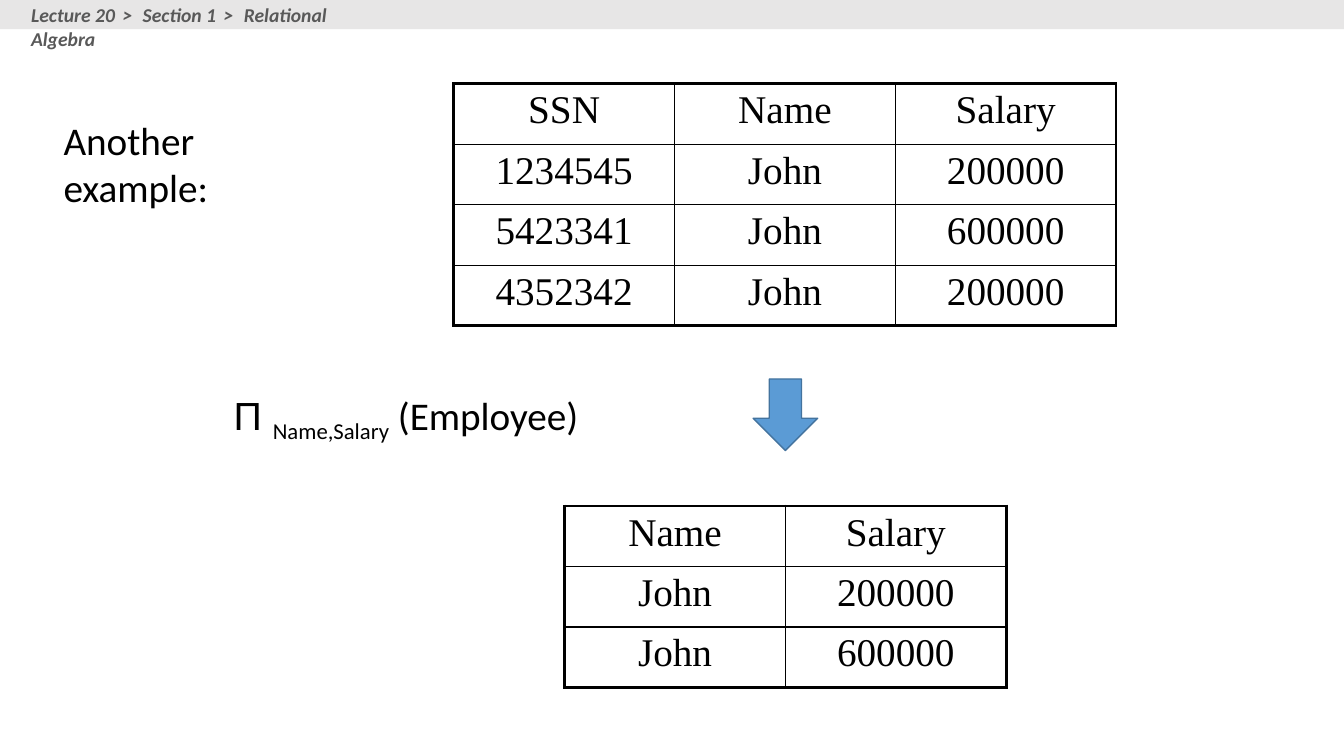
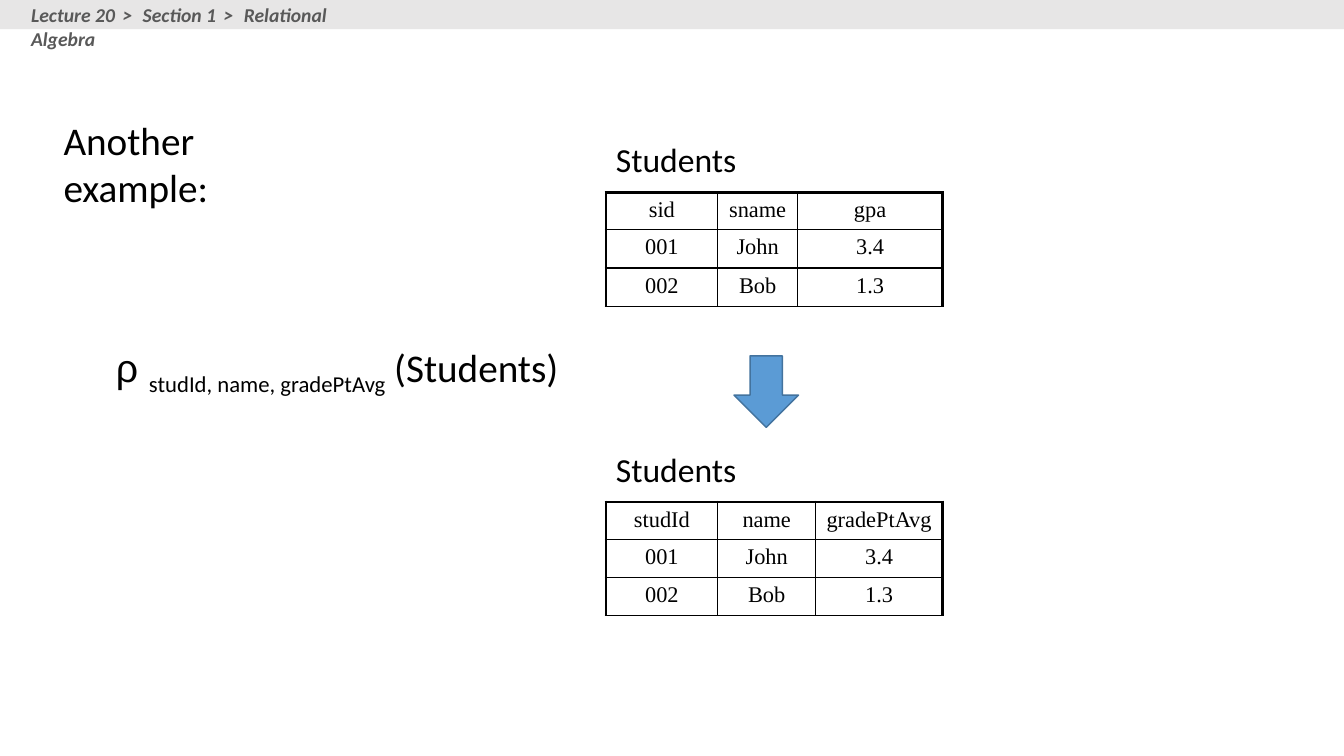
from dataclasses import dataclass

from lxml import etree
from pptx import Presentation
from pptx.dml.color import RGBColor
from pptx.enum.shapes import MSO_SHAPE
from pptx.enum.text import MSO_ANCHOR, MSO_AUTO_SIZE, PP_ALIGN
from pptx.oxml.ns import qn
from pptx.util import Emu, Pt

PX = 9144  # EMU in one px, 100 px to the inch
WIDE, HIGH = 1333, 750
RECT, DOWN = MSO_SHAPE.RECTANGLE, MSO_SHAPE.DOWN_ARROW
TOP, LEFT, CENTER = MSO_ANCHOR.TOP, PP_ALIGN.LEFT, PP_ALIGN.CENTER
FIXED = MSO_AUTO_SIZE.NONE
SANS, SERIF, GREEK = "Calibri", "Times New Roman", "Arial"
COLORS = {"ink": "000000", "band": "E7E6E6", "crumb": "595959",
          "arrow": "5B9BD5", "edge": "43739E"}
THICK, THIN = 2.25, 1


@dataclass(frozen=True)
class Box:
    x: int
    y: int
    w: int
    h: int

    def emu(self) -> list[Emu]:
        return [Emu(n * PX) for n in (self.x, self.y, self.w, self.h)]


@dataclass(frozen=True)
class Run:
    text: str
    size: int = 28
    face: str = SANS
    color: str = "ink"
    strong: bool = False
    base: int = 0
    track: int = 0


@dataclass(frozen=True)
class Grid:
    x: int
    y: int
    cols: tuple[int, ...]
    rows: tuple[int, ...]
    cells: tuple[tuple[str, ...], ...]
    size: int
    foot: float = THICK


@dataclass(frozen=True)
class Label:
    box: Box
    runs: tuple[Run, ...]


@dataclass(frozen=True)
class Page:
    grids: tuple[Grid, ...]
    labels: tuple[Label, ...]
    arrow: tuple[int, int]


def rgb(name: str) -> RGBColor:
    return RGBColor.from_string(COLORS[name])


def write(para, runs: tuple[Run, ...], align=LEFT) -> None:
    para.alignment = align
    for item in runs:
        run = para.add_run()
        run.text = item.text
        font = run.font
        font.size, font.name = Pt(item.size), item.face
        font.bold = font.italic = item.strong
        font.color.rgb = rgb(item.color)
        props = run._r.get_or_add_rPr()
        for key, value in (("baseline", item.base), ("spc", item.track)):
            if value:
                props.set(key, str(value))


def fill_frame(frame, runs: tuple[Run, ...]) -> None:
    frame.word_wrap = True
    frame.auto_size = FIXED
    frame.vertical_anchor = TOP
    write(frame.paragraphs[0], runs)


def add_label(slide, label: Label) -> None:
    fill_frame(slide.shapes.add_textbox(*label.box.emu()).text_frame,
               label.runs)


def add_solid(slide, kind, box: Box, fill: str, edge: str = "") -> None:
    shape = slide.shapes.add_shape(kind, *box.emu())
    shape.shadow.inherit = False
    shape.fill.solid()
    shape.fill.fore_color.rgb = rgb(fill)
    if edge:
        shape.line.color.rgb = rgb(edge)
        shape.line.width = Pt(1)
    else:
        shape.line.fill.background()


def set_edges(cell, widths: tuple[float, ...]) -> None:
    """Rule the left, right, top and bottom sides, widths in points."""
    props = cell._tc.get_or_add_tcPr()
    for i, (side, width) in enumerate(zip("LRTB", widths)):
        line = etree.Element(qn(f"a:ln{side}"), w=str(Pt(width)))
        solid = etree.SubElement(line, qn("a:solidFill"))
        etree.SubElement(solid, qn("a:srgbClr"), val=COLORS["ink"])
        props.insert(i, line)


def add_grid(slide, grid: Grid) -> None:
    box = Box(grid.x, grid.y, sum(grid.cols), sum(grid.rows))
    m, n = len(grid.rows), len(grid.cols)
    table = slide.shapes.add_table(m, n, *box.emu()).table
    table.first_row = table.horz_banding = False
    for col, width in zip(table.columns, grid.cols):
        col.width = Emu(width * PX)
    for r, (row, height) in enumerate(zip(table.rows, grid.rows)):
        row.height = Emu(height * PX)
        for c, text in enumerate(grid.cells[r]):
            cell = table.cell(r, c)
            cell.fill.background()
            set_edges(cell, (THICK if c == 0 else THIN,
                             THICK if c == n - 1 else THIN,
                             THICK if r == 0 else THIN,
                             grid.foot if r == m - 1 else THIN))
            write(cell.text_frame.paragraphs[0],
                  (Run(text, grid.size, SERIF),), CENTER)


def crumbs(*names: str) -> tuple[Run, ...]:
    """Join names with widely tracked arrows."""
    runs = []
    for name in names:
        if runs:
            runs.append(Run(" > ", 14, color="crumb", strong=True, track=210))
        runs.append(Run(name, 14, color="crumb", strong=True))
    return tuple(runs)


def formula(sign: str, names: str, source: str) -> tuple[Run, ...]:
    return (Run(f"{sign} ", face=GREEK), Run(names, base=-25000),
            Run(f" ({source})"))


def wage_grid(x: int, y: int, *cells: tuple[str, ...]) -> Grid:
    return Grid(x, y, (219,) * len(cells[0]), (60,) * len(cells), cells, 28)


def grade_grid(y: int, cols: tuple[int, ...], *head: str) -> Grid:
    cells = (head, ("001", "John", "3.4"), ("002", "Bob", "1.3"))
    return Grid(601, y, cols, (37, 38, 38), cells, 16, THIN)


def caption(y: int) -> Label:
    return Label(Box(601, y, 141, 50), (Run("Students", 24),))


TITLE = Label(Box(53, 110, 301, 57), (Run("Another example:"),))
TRAIL = Label(Box(21, -2, 380, 34),
              crumbs("Lecture 20", "Section 1", "Relational Algebra"))
PAGES = (
    Page(
        (wage_grid(450, 83, ("SSN", "Name", "Salary"),
                   ("1234545", "John", "200000"),
                   ("5423341", "John", "600000"),
                   ("4352342", "John", "200000")),
         wage_grid(560, 502, ("Name", "Salary"),
                   ("John", "200000"), ("John", "600000"))),
        (Label(Box(222, 383, 383, 57),
               formula("Π", "Name,Salary", "Employee")),),
        (747, 376)),
    Page(
        (grade_grid(191, (111, 79, 144), "sid", "sname", "gpa"),
         grade_grid(498, (111, 97, 126), "studId", "name", "gradePtAvg")),
        (caption(133), caption(440),
         Label(Box(105, 336, 499, 104),
               formula("ρ", "studId, name, gradePtAvg", "Students"))),
        (728, 353)),
)


def add_page(deck, page: Page) -> None:
    slide = deck.slides.add_slide(deck.slide_layouts.get_by_name("Title Only"))
    title = slide.shapes.title
    title.left, title.top, title.width, title.height = TITLE.box.emu()
    fill_frame(title.text_frame, TITLE.runs)
    add_solid(slide, RECT, Box(0, 0, WIDE, 29), "band")
    add_label(slide, TRAIL)
    for grid in page.grids:
        add_grid(slide, grid)
    for label in page.labels:
        add_label(slide, label)
    add_solid(slide, DOWN, Box(*page.arrow, 64, 71), "arrow", "edge")


def main() -> None:
    deck = Presentation()
    deck.slide_width, deck.slide_height = Emu(WIDE * PX), Emu(HIGH * PX)
    for page in PAGES:
        add_page(deck, page)
    deck.save("out.pptx")


if __name__ == "__main__":
    main()
